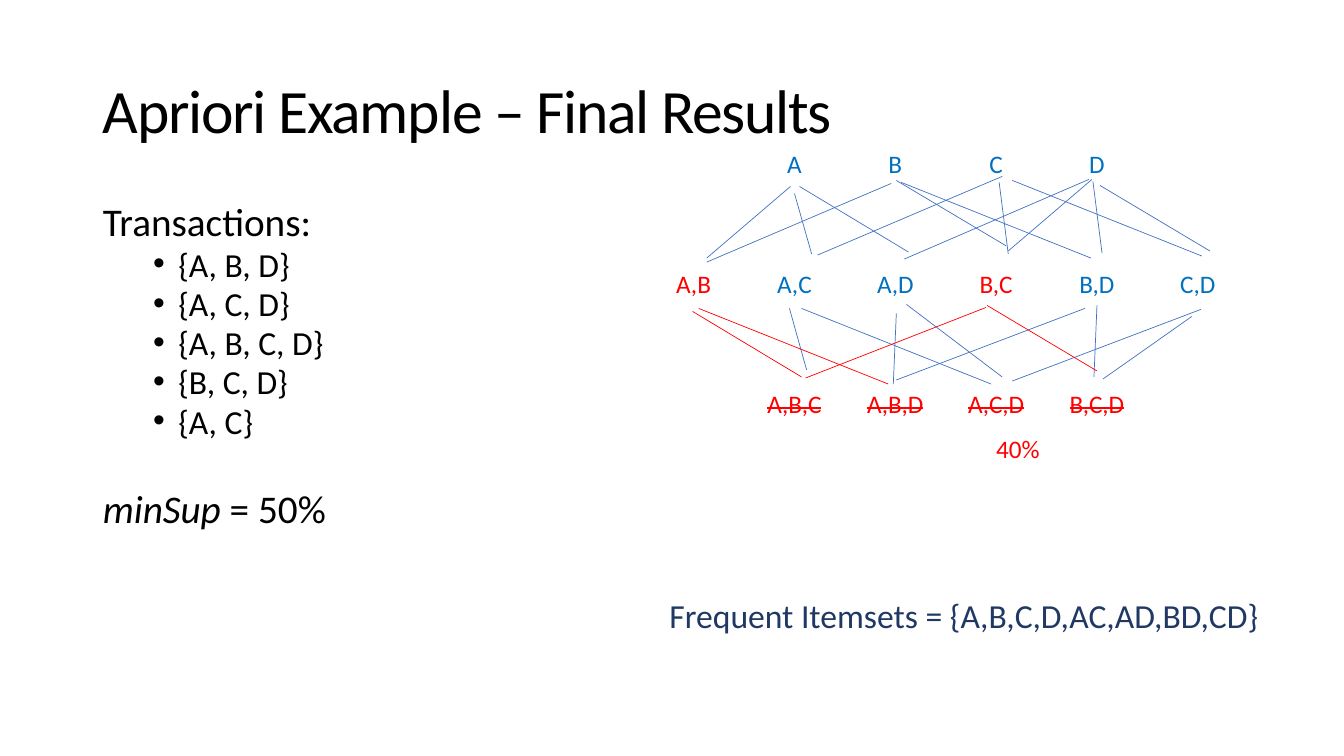
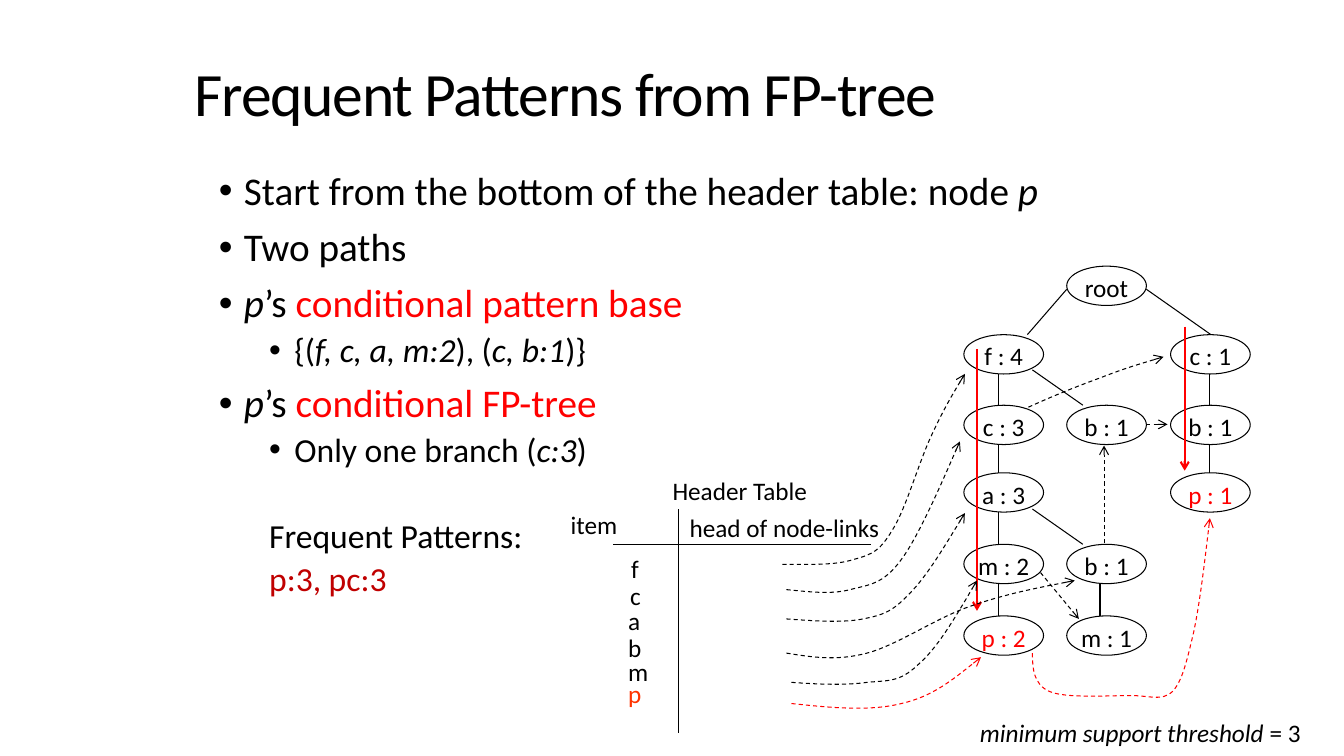
from lxml.etree import SubElement
from pptx import Presentation
from pptx.dml.color import RGBColor
from pptx.enum.dml import MSO_LINE
from pptx.enum.shapes import MSO_CONNECTOR, MSO_SHAPE
from pptx.enum.text import MSO_ANCHOR, PP_ALIGN
from pptx.oxml.ns import qn
from pptx.util import Pt

PX = 9144  # 100 px to the inch
FONT = "Calibri"
BLACK, RED, BLUE = "000000", "FF0000", "0070C0"
EDGE, NAVY, CRIMSON, ORANGE = "4472C4", "203864", "C00000", "FF3300"
hue = RGBColor.from_string


def write(slide, box, rows, size=18, tint=BLACK):
    """Add a text box; rows is a string or paragraphs of (text, "", "i" or colour) runs."""
    frame = slide.shapes.add_textbox(*[v * PX for v in box]).text_frame
    frame.word_wrap = True
    frame.margin_left = frame.margin_right = frame.margin_top = frame.margin_bottom = 0
    if isinstance(rows, str):
        rows = [[(rows, "")]]
    for i, row in enumerate(rows):
        par = frame.add_paragraph() if i else frame.paragraphs[0]
        for text, style in row:
            run = par.add_run()
            run.text = text
            font = run.font
            font.name, font.size = FONT, Pt(size)
            font.italic = style == "i"
            font.color.rgb = hue(tint if style in ("", "i") else style)
    return frame


def stroke(item, tint=BLACK, width=0.75, dash=False, arrow=False):
    """Style the outline of a shape or connector, without a shadow."""
    item.line.color.rgb = hue(tint)
    item.line.width = Pt(width)
    if dash:
        item.line.dash_style = MSO_LINE.DASH
    props = item._element.spPr
    if arrow:
        SubElement(props.find(qn("a:ln")), qn("a:tailEnd"), type="arrow")
    SubElement(props, qn("a:effectLst"))


deck = Presentation()
deck.slide_width, deck.slide_height = 1333 * PX, 750 * PX

# Titles and body text: kind -> margin, hang, size, space before
kinds = {
    "head": (0, 0, 28, 10),
    "dot": (25, 25, 28, 10),
    "sub": (75, 25, 24, 5),
    "note": (50, 0, 24, 5),
}
sets = ["{A, B, D}", "{A, C, D}", "{A, B, C, D}", "{B, C, D}", "{A, C}"]
pages = [
    ("Apriori Example – Final Results", (102, 45, 1130, 135), (102, 205, 500, 400), 0.8, [
        ("head", 0, [("Transactions:", "")]),
        *[("sub", 0, [(item, "")]) for item in sets],
        ("head", 28, [("minSup ", "i"), ("= 50%", "")]),
    ]),
    ("Frequent Patterns from FP-tree", (193, 28, 871, 135), (217, 170, 887, 521), 0.9, [
        ("dot", 0, [("Start from the bottom of the header table: node ", ""), ("p", "i")]),
        ("dot", 0, [("Two paths", "")]),
        ("dot", 0, [("p", "i"), ("’s ", ""), ("conditional pattern base", RED)]),
        ("sub", 0, [("{(", ""), ("f, c, a, m:2", "i"), ("), (", ""), ("c, b:1", "i"), (")}", "")]),
        ("dot", 0, [("p", "i"), ("’s ", ""), ("conditional FP-tree", RED)]),
        ("sub", 0, [("Only one branch (", ""), ("c:3", "i"), (")", "")]),
        ("note", 31, [("Frequent Patterns:", "")]),
        ("note", 0, [("p:3, pc:3", CRIMSON)]),
    ]),
]
slides = []
for title, top, box, pitch, rows in pages:
    slide = deck.slides.add_slide(deck.slide_layouts[6])
    slides.append(slide)
    frame = write(slide, top, title, 44)
    frame.vertical_anchor = MSO_ANCHOR.MIDDLE
    frame.paragraphs[0].line_spacing = 0.9
    frame.paragraphs[0].runs[0].font._element.set("spc", "-90")

    frame = write(slide, box, [runs for _, _, runs in rows])
    for par, (kind, extra, _) in zip(frame.paragraphs, rows):
        margin, hang, size, gap = kinds[kind]
        par.line_spacing = pitch
        par.space_before = Pt(gap + extra)
        for run in par.runs:
            run.font.size = Pt(size)
        props = par._element.get_or_add_pPr()
        props.set("marL", str(margin * PX))
        props.set("indent", str(-hang * PX))
        if hang:
            SubElement(props, qn("a:buFont"), typeface="Arial")
            SubElement(props, qn("a:buChar"), char="•")
lattice, tree = slides

# Itemset lattice
levels = [
    (738, ["A", "B", "C", "D"]),
    (638, ["A,B", "A,C", "A,D", "B,C", "B,D", "C,D"]),
    (738, ["A,B,C", "A,B,D", "A,C,D", "B,C,D"]),
]
for i, (left, names) in enumerate(levels):
    for j, name in enumerate(names):
        rare = i == 2 or name in ("A,B", "B,C")
        frame = write(lattice, (left + 100 * j, 147 + 119 * i, 100, 30), name,
                      tint=RED if rare else BLUE)
        par = frame.paragraphs[0]
        par.alignment = PP_ALIGN.CENTER
        if i == 2:
            par.runs[0].font._element.set("strike", "sngStrike")

links = {
    EDGE: [
        (784, 185, 701, 256), (884, 182, 701, 260), (788, 192, 805, 252),
        (793, 185, 901, 250), (1083, 178, 1000, 249), (994, 175, 811, 253),
        (1080, 178, 897, 257), (1091, 184, 1200, 249), (889, 179, 998, 244),
        (991, 181, 1000, 252), (894, 181, 1082, 256), (1084, 180, 1093, 251),
        (1004, 179, 1192, 254), (783, 306, 800, 367), (889, 311, 886, 381),
        (889, 377, 1076, 306), (1004, 378, 1191, 307), (1094, 376, 1182, 314),
        (1088, 303, 1085, 374), (899, 302, 994, 374), (795, 306, 983, 381),
    ],
    RED: [
        (687, 309, 795, 374), (693, 306, 881, 381),
        (978, 305, 799, 375), (979, 303, 1088, 368),
    ],
}
for tint, ends in links.items():
    for end in ends:
        line = lattice.shapes.add_connector(MSO_CONNECTOR.STRAIGHT, *[v * PX for v in end])
        stroke(line, tint, 0.5)
write(lattice, (988, 430, 60, 30), "40%", tint=RED)
write(lattice, (664, 590, 630, 40), "Frequent Itemsets = {A,B,C,D,AC,AD,BD,CD}", 24, NAVY)

# Header table
write(tree, (972, 712, 340, 30), [[("minimum support threshold", "i"), (" = 3", "")]])
labels = [
    (667, 472, 151, "Header Table"), (566, 505, 101, "item"),
    (684, 508, 215, "head of node-links"), (626, 549, 23, "f"), (625, 576, 23, "c"),
    (623, 601, 23, "a"), (623, 627, 23, "b"), (623, 651, 23, "m"), (623, 673, 23, "p"),
]
for x, y, w, text in labels:
    write(tree, (x, y, w, 30), text, tint=ORANGE if text == "p" else BLACK)

# Tree nodes
wide, tall = 79, 39
nodes = [
    (1058, 264, "root"),
    (956, 332, "f : 4"), (956, 402, "c : 3"), (956, 469, "a : 3"),
    (956, 540, "m : 2"), (956, 611, "p : 2"),
    (1058, 402, "b : 1"), (1058, 540, "b : 1"), (1058, 611, "m : 1"),
    (1161, 332, "c : 1"), (1161, 402, "b : 1"), (1161, 469, "p : 1"),
]
for x, y, text in nodes:
    node = tree.shapes.add_shape(MSO_SHAPE.OVAL, x * PX, y * PX, wide * PX, tall * PX)
    node.fill.background()
    stroke(node)
    frame = node.text_frame
    frame.word_wrap = False
    frame.margin_left = frame.margin_right = frame.margin_bottom = 0
    frame.margin_top = 3 * PX
    frame.vertical_anchor = MSO_ANCHOR.MIDDLE
    frame.text = text
    par = frame.paragraphs[0]
    par.alignment = PP_ALIGN.CENTER
    font = par.runs[0].font
    font.name, font.size = FONT, Pt(18)
    font.color.rgb = hue(RED if text.startswith("p") else BLACK)

# Straight lines: table rules, slanted and upright branches, links, paths
plain = [
    (608, 540, 864, 540), (673, 505, 673, 727),
    (1201, 332, 1137, 287), (1058, 287, 1019, 332),
    (1074, 402, 1024, 367), (1074, 540, 1024, 505),
]
for x, tops in [(990, [332, 402, 469, 540, 611]), (1091, [540, 611]), (1200, [332, 402, 469])]:
    plain += [(x, y + tall, x, below) for y, below in zip(tops, tops[1:])]
hops = [(1032, 568, 1070, 614), (1095, 539, 1095, 442), (1137, 421, 1158, 421)]
paths = [(969, 346, 969, 606), (1175, 324, 1175, 467)]
looks = [
    (plain, BLACK, 0.75, False, False),
    (hops, BLACK, 0.75, True, True),
    (paths, RED, 1.5, False, True),
]
for ends, *look in looks:
    for end in ends:
        line = tree.shapes.add_connector(MSO_CONNECTOR.STRAIGHT, *[v * PX for v in end])
        stroke(line, *look)

# Curved node-links: a start, then three points for each Bézier piece
curves = [
    (BLACK, [(776, 560), (803, 560), (829, 561), (847, 555), (866, 550), (873, 546), (885, 526),
             (898, 506), (911, 460), (923, 434), (935, 408), (946, 389), (957, 371)]),
    (BLACK, [(780, 585), (802, 587), (824, 590), (843, 585), (862, 580), (876, 580), (894, 555),
             (912, 531), (943, 458), (952, 438)]),
    (BLACK, [(780, 614), (808, 616), (836, 618), (856, 614), (876, 610), (885, 607), (902, 589),
             (919, 572), (938, 540), (957, 509)]),
    (BLACK, [(780, 648), (805, 652), (830, 656), (860, 648), (890, 640), (927, 614), (961, 602),
             (995, 590), (1030, 583), (1066, 576)]),
    (BLACK, [(785, 677), (812, 679), (839, 680), (860, 677), (881, 675), (892, 677), (910, 660),
             (929, 644), (949, 610), (969, 576)]),
    (RED, [(785, 698), (823, 702), (862, 706), (894, 698), (925, 691), (949, 671), (973, 652)]),
    (BLACK, [(1020, 404), (1044, 393), (1069, 383), (1091, 375), (1114, 366), (1134, 360),
             (1154, 354)]),
    (RED, [(1024, 648), (1024, 663), (1025, 679), (1041, 686), (1057, 693), (1100, 690),
           (1121, 690), (1141, 690), (1152, 696), (1163, 686), (1173, 675), (1177, 656),
           (1184, 627), (1190, 598), (1195, 556), (1200, 514)]),
]
for tint, spots in curves:
    pen = tree.shapes.build_freeform(*spots[0], scale=PX)
    pen.add_line_segments(spots[1:], close=False)
    curve = pen.convert_to_shape()
    curve.fill.background()
    stroke(curve, tint, dash=True, arrow=True)
    # Turn each three straight steps into one cubic piece
    geo = curve._element.find(".//" + qn("a:path"))
    steps = geo.findall(qn("a:lnTo"))
    for i in range(0, len(steps), 3):
        cubic = SubElement(geo, qn("a:cubicBezTo"))
        for step in steps[i:i + 3]:
            cubic.append(step[0])
            geo.remove(step)

deck.save("out.pptx")
